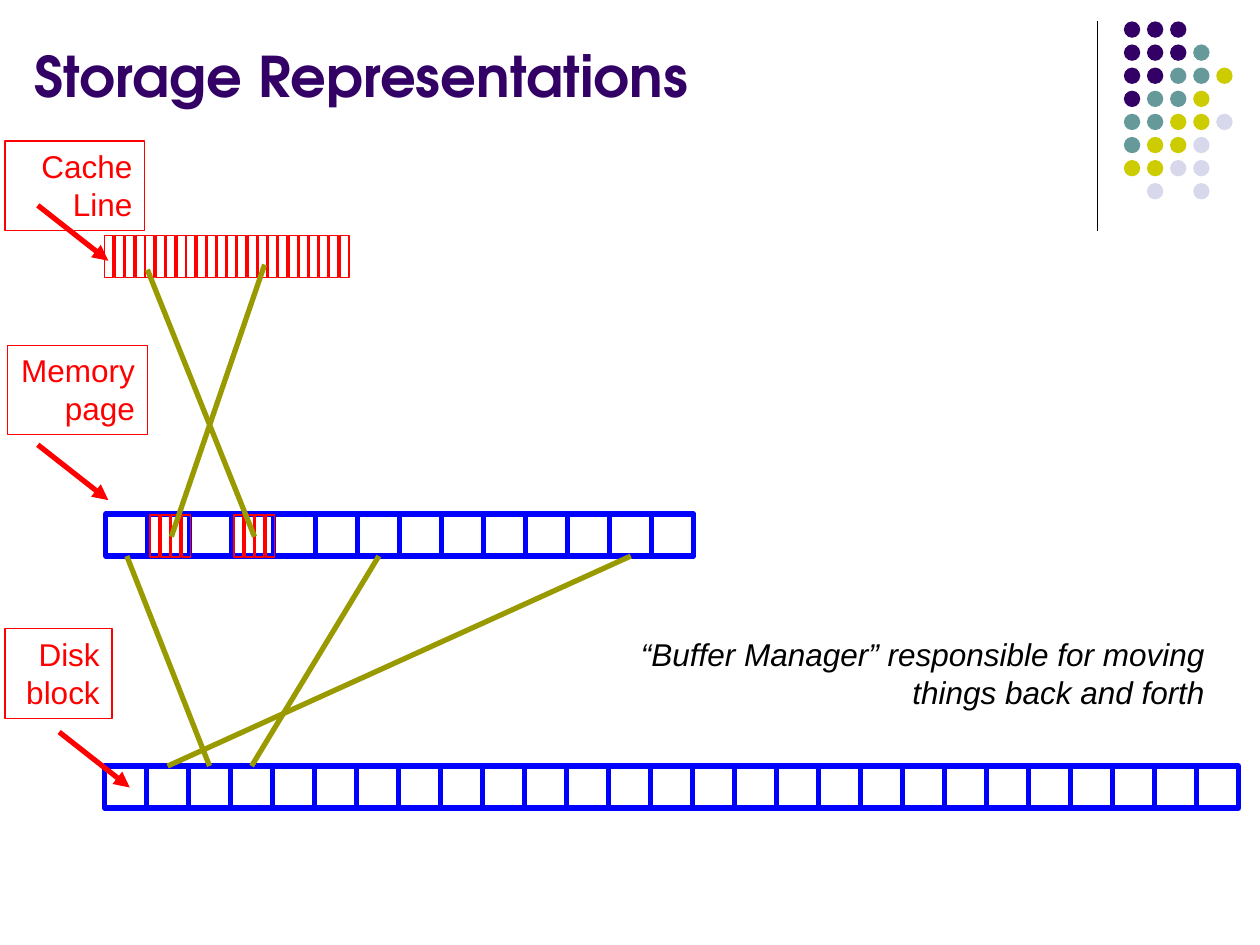
from dataclasses import dataclass

from lxml import etree
from pptx import Presentation
from pptx.dml.color import RGBColor
from pptx.enum import shapes, text
from pptx.oxml import ns
from pptx.util import Inches, Pt


@dataclass(frozen=True)
class Theme:
    purple: str = "330066"
    teal: str = "669999"
    lime: str = "CCCC00"
    lavender: str = "D8D8EC"
    red: str = "FF0000"
    blue: str = "0000FF"
    olive: str = "999900"
    black: str = "000000"
    title_font: str = "TeX Gyre Adventor"
    body_font: str = "Arial"
    title_size: int = 32
    body_size: int = 18


THEME = Theme()
CELL = 1 / 3
SLICE_WIDTH, SLICE_PITCH, SLICES = 0.07, 0.083, 4
BOTTOM, TOP = 2, 0


def rgb(color):
    return RGBColor.from_string(color)


def format_runs(tf, color, size, font, align, bold=False, italic=False):
    for p in tf.paragraphs:
        p.alignment = align
        for r in p.runs:
            r.font.name, r.font.size = font, Pt(size)
            r.font.bold, r.font.italic = bold, italic
            r.font.color.rgb = rgb(color)


def add_shape(parent, kind, x, y, w, h, fill=None, line=None, weight=1):
    sp = parent.shapes.add_shape(kind, Inches(x), Inches(y), Inches(w), Inches(h))
    sp.shadow.inherit = False
    if fill:
        sp.fill.solid()
        sp.fill.fore_color.rgb = rgb(fill)
    else:
        sp.fill.background()
    if line:
        sp.line.color.rgb = rgb(line)
        sp.line.width = Pt(weight)
    else:
        sp.line.fill.background()
    return sp


def add_box(parent, x, y, w, h, color, weight):
    return add_shape(parent, shapes.MSO_SHAPE.RECTANGLE, x, y, w, h, line=color, weight=weight)


def add_line(s, start, end, color, weight=3, arrow=False):
    cx = s.shapes.add_connector(shapes.MSO_CONNECTOR.STRAIGHT, *map(Inches, start + end))
    cx.line.color.rgb = rgb(color)
    cx.line.width = Pt(weight)
    if arrow:
        etree.SubElement(cx.line._get_or_add_ln(), ns.qn("a:tailEnd"), type="triangle")
    etree.SubElement(cx._element.spPr, ns.qn("a:effectLst"))
    return cx


def join_cells(s, upper, lower):
    cx = add_line(s, (0, 0), (0, 0), THEME.olive)
    cx.begin_connect(upper, BOTTOM)
    cx.end_connect(lower, TOP)


def add_title(s, title):
    sp = s.shapes.title
    sp.left, sp.top, sp.width, sp.height = map(Inches, (0.17, 0.13, 8.83, 0.78))
    tf = sp.text_frame
    tf.text = title
    tf.vertical_anchor = text.MSO_ANCHOR.BOTTOM
    format_runs(tf, THEME.purple, THEME.title_size, THEME.title_font,
                text.PP_ALIGN.LEFT, bold=True)


def add_dots(s):
    colors = {"P": THEME.purple, "T": THEME.teal, "L": THEME.lime, "V": THEME.lavender}
    rows = ("PPP", "PPPT", "PPTTL", "PTTL", "TTLLV", "TLLV", "LLVV", ".V.V")
    pitch = 0.55 / 3
    group = s.shapes.add_group_shape()
    for i, row in enumerate(rows):
        for j, key in enumerate(row):
            if key in colors:
                add_shape(group, shapes.MSO_SHAPE.OVAL, 8.92 + j * pitch,
                          0.17 + i * pitch, 0.13, 0.13, fill=colors[key])


def add_cells(s, x, y, count):
    return [add_box(s, x + i * CELL, y, CELL, CELL, THEME.blue, 3) for i in range(count)]


def add_cache_block(s, x, y):
    group = s.shapes.add_group_shape()
    for i in range(SLICES):
        add_box(group, x + i * SLICE_PITCH, y, SLICE_WIDTH, CELL, THEME.red, 1)


def add_label(s, label, x, y, w):
    sp = add_box(s, x, y, w, 0.71, THEME.red, 0.75)
    tf = sp.text_frame
    tf.text = label
    tf.word_wrap = True
    tf.vertical_anchor = text.MSO_ANCHOR.TOP
    format_runs(tf, THEME.red, THEME.body_size, THEME.body_font, text.PP_ALIGN.RIGHT)


def add_pointer(s, x, y):
    add_line(s, (x, y), (x + 0.56, y + 0.44), THEME.red, arrow=True)


def add_note(s, note):
    sp = s.shapes.add_textbox(*map(Inches, (4.95, 4.99, 4.71, 0.71)))
    tf = sp.text_frame
    tf.text = note
    tf.word_wrap = False
    format_runs(tf, THEME.black, THEME.body_size, THEME.body_font,
                text.PP_ALIGN.RIGHT, italic=True)


def main():
    prs = Presentation()
    prs.slide_width, prs.slide_height = Inches(10), Inches(7.5)
    s = prs.slides.add_slide(prs.slide_layouts[5])

    # Title and corner decoration
    add_line(s, (8.71, 0.17), (8.71, 1.83), THEME.black, 0.75)
    add_dots(s)
    add_title(s, "Storage Representations")

    # Disk block
    disk = add_cells(s, 0.83, 6.08, 27)
    add_label(s, "Disk block", 0.04, 4.99, 0.85)
    add_pointer(s, 0.47, 5.81)

    # Memory page, with two cells held in the cache
    page = add_cells(s, 0.84, 4.08, 14)
    add_label(s, "Memory page", 0.06, 2.74, 1.11)
    add_pointer(s, 0.3, 3.53)
    for cell in (1, 3):
        add_cache_block(s, 0.86 + cell * CELL, 4.09)

    # Cache line
    for i in range(6):
        add_cache_block(s, 0.83 + i * 0.324, 1.87)
    add_label(s, "Cache Line", 0.04, 1.12, 1.11)
    add_pointer(s, 0.3, 1.63)

    # Buffer manager note
    add_note(s, "“Buffer Manager” responsible for moving\nthings back and forth")

    # Mappings between the levels
    for page_cell, disk_cell in ((0, 2), (6, 3), (12, 1)):
        join_cells(s, page[page_cell], disk[disk_cell])
    add_line(s, (1.17, 2.14), (2.02, 4.26), THEME.olive)
    add_line(s, (2.1, 2.1), (1.36, 4.26), THEME.olive)

    prs.save("out.pptx")


if __name__ == "__main__":
    main()
